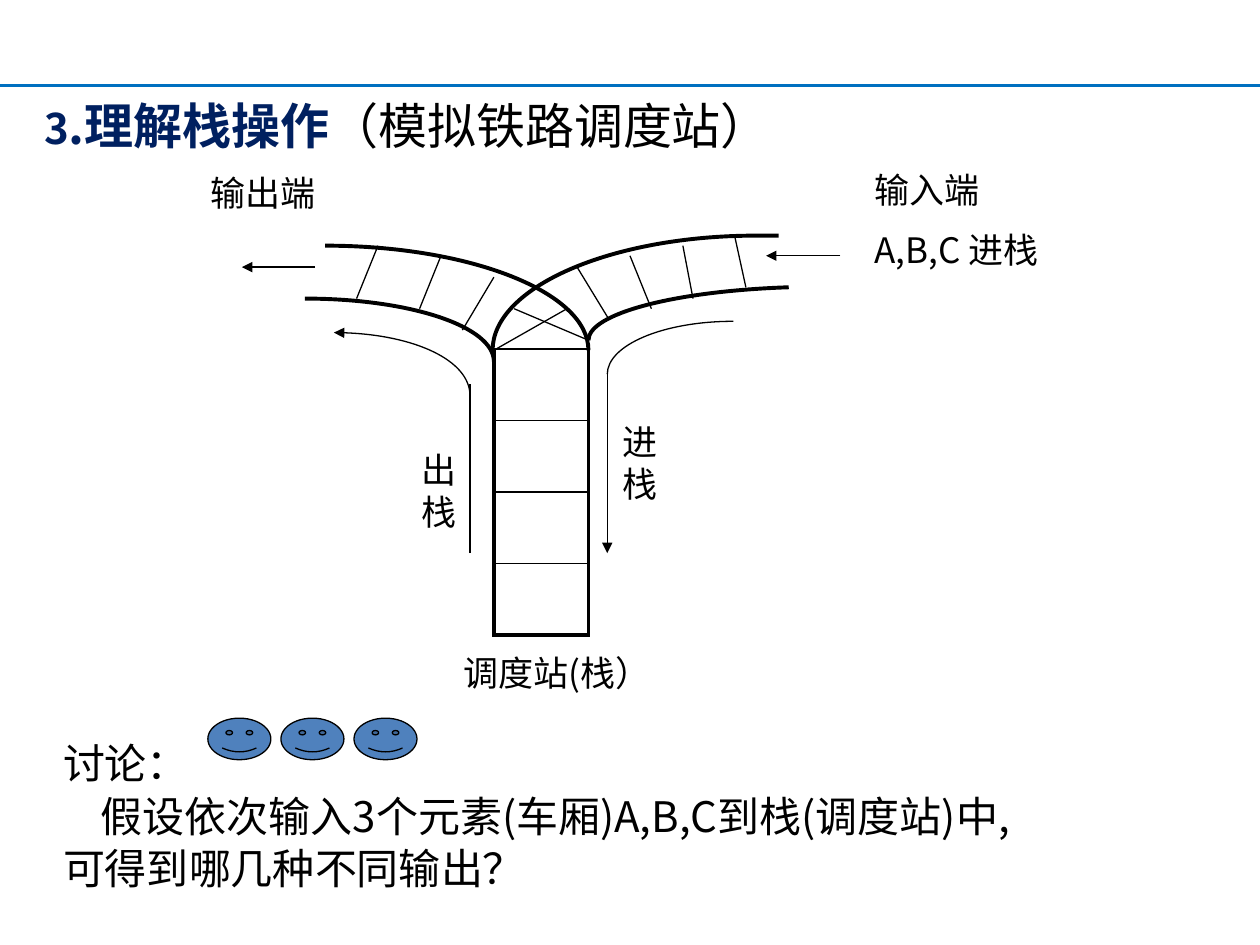
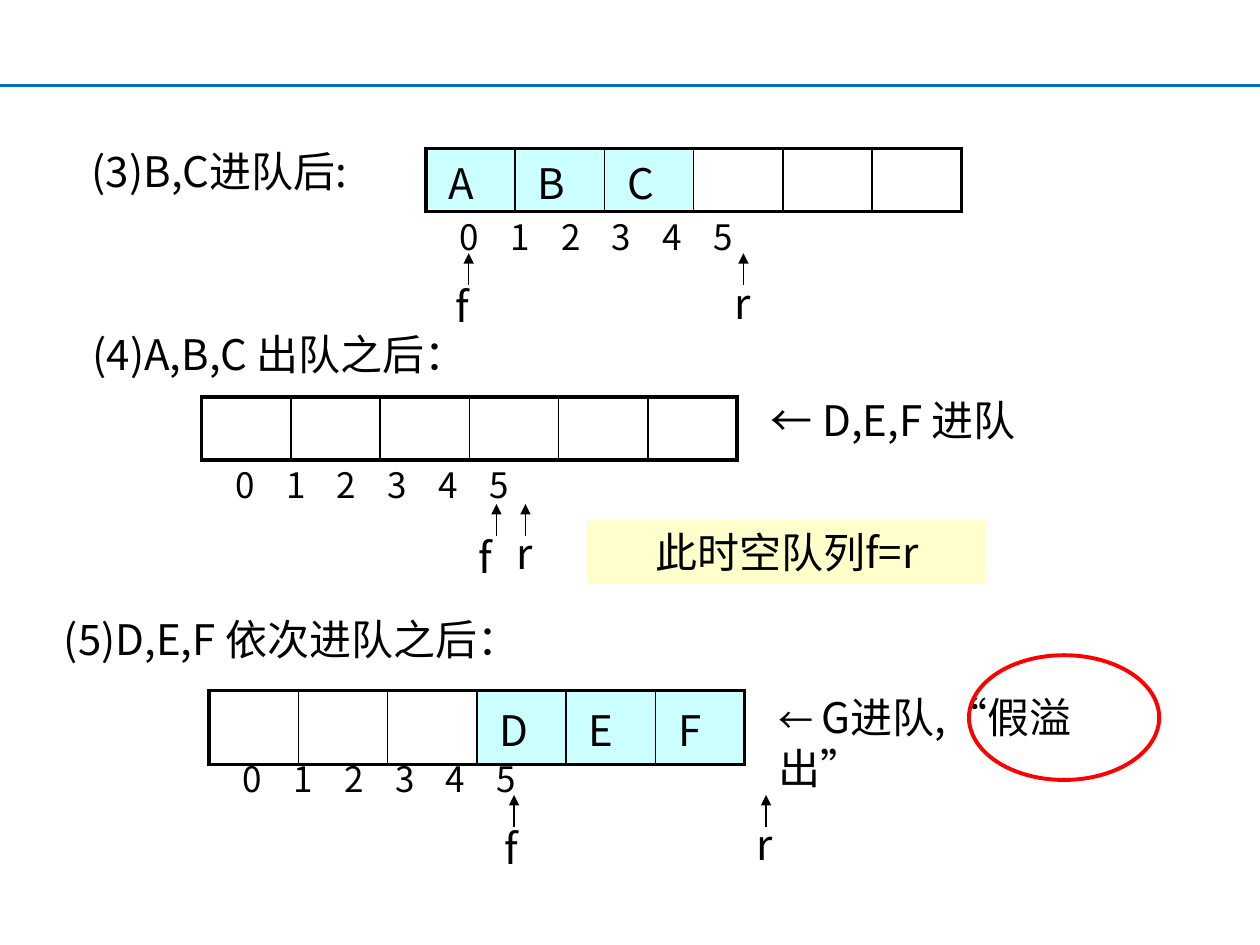
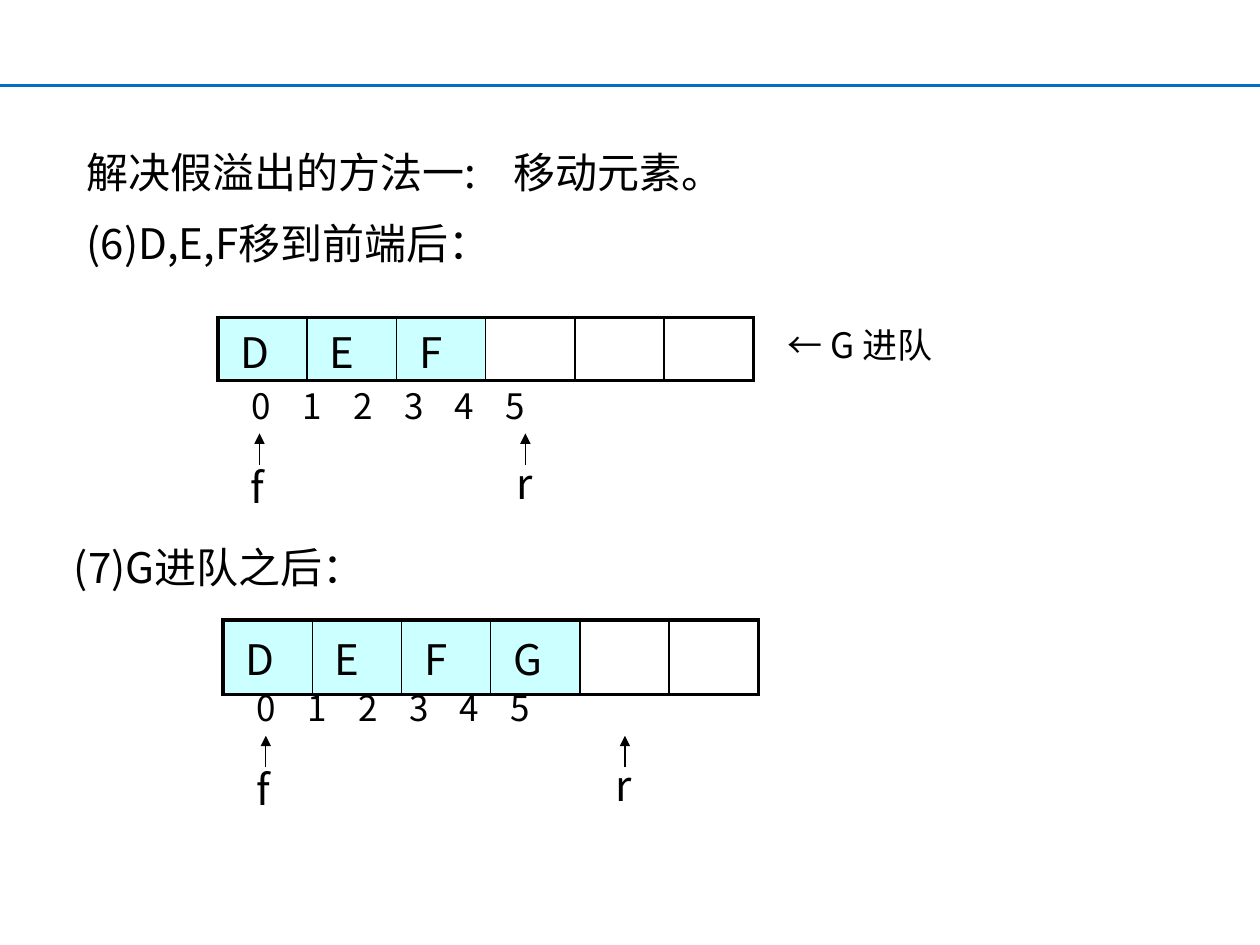
import lxml.etree
import pptx
import pptx.dml.color
import pptx.enum.shapes
import pptx.enum.text
import pptx.oxml.ns
import pptx.util

Inches = pptx.util.Inches
Pt = pptx.util.Pt
qn = pptx.oxml.ns.qn
Align = pptx.enum.text.PP_ALIGN
Anchor = pptx.enum.text.MSO_ANCHOR
Preset = pptx.enum.shapes.MSO_SHAPE

FONT = "Noto Sans CJK SC"
BLACK, NAVY, RULE, RED = "000000", "002060", "0070C0", "FF0000"
FILLED, NOTE, FACE = "CCFFFF", "FFFFCC", "4F81BD"
THIN, INNER, THICK = 0.75, 1, 2.25
CELL = 4.25 / 6
BOUNDS = ("left", "top", "width", "height")


def paint(target, color):
    """Colour a fill, or clear it when color is None."""
    if color is None:
        target.background()
    else:
        target.solid()
        target.fore_color.rgb = pptx.dml.color.RGBColor.from_string(color)


def span(text, size=24, color=BLACK, bold=False, font=FONT):
    return text, size, color, bold, font


def add_span(para, text, size, color, bold, font):
    run = para.add_run()
    run.text = text
    run.font.size = Pt(size)
    run.font.bold = bold
    paint(run.font.fill, color)
    run.font.name = font
    east_asian = lxml.etree.SubElement(run._r.get_or_add_rPr(), qn("a:ea"))
    east_asian.set("typeface", FONT)


def write(frame, paras, align=Align.LEFT, spacing=None, before=0, anchor=Anchor.TOP):
    """Fill a frame; paras is a list of paragraphs, each a list of spans."""
    frame.word_wrap = True
    frame.auto_size = pptx.enum.text.MSO_AUTO_SIZE.NONE
    frame.vertical_anchor = anchor
    for index, spans in enumerate(paras):
        para = frame.paragraphs[0] if index == 0 else frame.add_paragraph()
        para.alignment = align
        para.space_before = Pt(before if index else 0)
        if spacing:
            para.line_spacing = spacing
        for parts in spans:
            add_span(para, *parts)


def add_text(slide, box, paras, **style):
    text = slide.shapes.add_textbox(*map(Inches, box))
    write(text.text_frame, paras, **style)
    return text


def add_tabs(para, stops):
    tabs = lxml.etree.SubElement(para._p.get_or_add_pPr(), qn("a:tabLst"))
    for stop in stops:
        lxml.etree.SubElement(tabs, qn("a:tab"), pos=str(stop), algn="l")


def fill_placeholder(holder, box, paras, **style):
    for name, length in zip(BOUNDS, box):
        setattr(holder, name, Inches(length))
    write(holder.text_frame, paras, **style)


def add_arrowhead(shape, end):
    shape.line._get_or_add_ln().append(
        lxml.etree.Element(qn(f"a:{end}"), type="triangle"))


def add_line(slide, start, finish, color=BLACK, width=THIN, arrow=False):
    line = slide.shapes.add_connector(
        pptx.enum.shapes.MSO_CONNECTOR.STRAIGHT, *map(Inches, start + finish))
    paint(line.line.fill, color)
    line.line.width = Pt(width)
    if arrow:
        add_arrowhead(line, "tailEnd")
    lxml.etree.SubElement(line.element.spPr, qn("a:effectLst"))
    return line


def style_shape(shape, fill=None, line=BLACK, width=THIN):
    shape.shadow.inherit = False
    paint(shape.fill, fill)
    paint(shape.line.fill, line)
    if line:
        shape.line.width = Pt(width)


def add_preset(slide, kind, box, **style):
    shape = slide.shapes.add_shape(kind, *map(Inches, box))
    style_shape(shape, **style)
    return shape


def add_curve(slide, controls, width=THICK):
    """Draw cubic Bezier curves: a start, then three control points for each."""
    points = [(Inches(x), Inches(y)) for x, y in controls]
    builder = slide.shapes.build_freeform(*points[0])
    builder.add_line_segments(points[1:], close=False)
    curve = builder.convert_to_shape()
    segments = list(curve.element.iter(qn("a:lnTo")))
    for first in range(0, len(segments), 3):
        bezier = lxml.etree.Element(qn("a:cubicBezTo"))
        segments[first].addprevious(bezier)
        for segment in segments[first:first + 3]:
            bezier.append(segment[0])
            segment.getparent().remove(segment)
    style_shape(curve, width=width)
    return curve


def set_borders(cell, widths):
    """Set left, right, top and bottom border widths in points."""
    properties = cell._tc.get_or_add_tcPr()
    for side, width in zip("LRTB", widths):
        border = lxml.etree.SubElement(properties, qn(f"a:ln{side}"), w=str(Pt(width)))
        fill = lxml.etree.SubElement(border, qn("a:solidFill"))
        lxml.etree.SubElement(fill, qn("a:srgbClr"), val=BLACK)


def add_grid(slide, box, rows, columns, top_edge=THICK):
    """Add an unfilled table with a thick frame and thin inner lines."""
    table = slide.shapes.add_table(rows, columns, *map(Inches, box)).table
    table.first_row = table.horz_banding = False
    for column in table.columns:
        column.width = Inches(box[2] / columns)
    for r in range(rows):
        table.rows[r].height = Inches(box[3] / rows)
        for c in range(columns):
            cell = table.cell(r, c)
            set_borders(cell, (THICK if c == 0 else INNER,
                               THICK if c == columns - 1 else INNER,
                               top_edge if r == 0 else INNER,
                               THICK if r == rows - 1 else INNER))
            paint(cell.fill, None)
    return table


def add_pointer(slide, name, x, top, label_left, label_drop):
    add_line(slide, (x, top + 0.25), (x, top), arrow=True)
    add_text(slide, (x - label_left, top + label_drop, 0.37, 0.38),
             [[span(name)]], spacing=0.7)


def add_queue(slide, left, top, items, front, rear, height=0.5, pointer_drop=0.83,
              front_label=0.17):
    """Draw six cells, their indexes and the f and r pointers.

    items holds one character for each cell, front and rear are offsets from left.
    """
    table = add_grid(slide, (left, top, 6 * CELL, height), 1, 6)
    for index, item in enumerate(items):
        if item == " ":
            continue
        cell = table.cell(0, index)
        paint(cell.fill, FILLED)
        cell.vertical_anchor = Anchor.BOTTOM
        cell.margin_left = Inches(0.18)
        cell.margin_top = 0
        cell.margin_bottom = Inches(max(0, height - 0.54))
        add_span(cell.text_frame.paragraphs[0], *span(item))

    indexes = add_text(slide, (left + 0.17, top + 0.48, 3.81, 0.43),
                       [[span("\t".join("012345"), 20)]])
    add_tabs(indexes.text_frame.paragraphs[0], [Pt(29 * stop) for stop in range(1, 6)])

    add_pointer(slide, "f", left + front, top + pointer_drop, front_label, 0.28)
    add_pointer(slide, "r", left + rear, top + pointer_drop, 0.17, 0.25)


def add_rule_to_master(deck, slide):
    rule = add_line(slide, (0, 0.68), (10, 0.68), RULE, 1.5)
    deck.slide_master.element.cSld.spTree.append(rule.element)


def draw_tracks(slide, x, y):
    """Draw both rail branches and the station, from the station's top left."""
    add_grid(slide, (x, y, 0.75, 2.27), 4, 1, top_edge=INNER)
    rails = (
        ((-1.5, -0.4), (-0.67, -0.4), (0, -0.18), (0, 0.1)),
        ((-1.34, -0.82), (-0.19, -0.82), (0.75, -0.45), (0.75, 0.01)),
        ((2.26, -0.9), (2.2, -0.9), (2.14, -0.9), (2.08, -0.9),
         (0.93, -0.9), (-0.01, -0.49), (-0.01, 0.01)),
        ((2.34, -0.49), (1.43, -0.46), (0.75, -0.28), (0.75, -0.07)),
    )
    for rail in rails:
        add_curve(slide, [(x + dx, y + dy) for dx, dy in rail])
    sleepers = (
        ((0.16, -0.32), (0.75, -0.07)), ((0, 0.01), (0.58, -0.32)),
        ((0, -0.57), (-0.25, -0.15)), ((-0.42, -0.74), (-0.59, -0.32)),
        ((-0.92, -0.82), (-1.09, -0.4)), ((0.66, -0.65), (0.91, -0.24)),
        ((1.08, -0.74), (1.25, -0.32)), ((1.5, -0.82), (1.58, -0.4)),
        ((1.91, -0.9), (2, -0.49)),
    )
    for (x1, y1), (x2, y2) in sleepers:
        add_line(slide, (x + x1, y + y1), (x + x2, y + y2))


def draw_directions(slide, x, y):
    """Draw the arrows and labels around the station."""
    add_line(slide, (x + 2.75, y - 0.74), (x + 2.16, y - 0.74), arrow=True)
    add_line(slide, (x - 1.42, y - 0.65), (x - 2, y - 0.65), arrow=True)
    add_line(slide, (x + 0.9, y + 0.2), (x + 0.9, y + 1.62), arrow=True)
    add_line(slide, (x - 0.19, y + 1.62), (x - 0.19, y + 0.28))
    add_curve(slide, ((x + 1.9, y - 0.22), (x + 1.34, y - 0.22),
                      (x + 0.9, y - 0.03), (x + 0.9, y + 0.2)), THIN)
    pop = add_curve(slide, ((x - 1.27, y - 0.13), (x - 0.67, y - 0.13),
                            (x - 0.19, y + 0.09), (x - 0.19, y + 0.37)), THIN)
    add_arrowhead(pop, "headEnd")
    labels = (
        (2.92, -1.48, 1.75, 0.93, ("输入端", "A,B,C 进栈")),
        (0.92, 0.52, 0.5, 0.77, ("进栈",)),
        (-0.67, 0.74, 0.48, 0.77, ("出", "栈")),
        (-2.35, -1.46, 1.2, 0.43, ("输出端",)),
        (-0.34, 2.35, 1.83, 0.43, ("调度站(栈）",)),
    )
    for dx, dy, width, height, lines in labels:
        add_text(slide, (x + dx, y + dy, width, height),
                 [[span(line, 20)] for line in lines],
                 before=10 if dx > 2 else 0)


def draw_discussion(slide, body):
    lines = ("讨论：", "假设依次输入3个元素(车厢)A,B,C到栈(调度站)中,", "可得到哪几种不同输出？")
    fill_placeholder(body, (0.4, 5.79, 9.28, 1.4),
                     [[span(line)] for line in lines], spacing=Pt(30))
    for index, para in enumerate(body.text_frame.paragraphs):
        properties = para._p.get_or_add_pPr()
        properties.set("marL", "0")
        properties.set("indent", str(Inches(0.3) if index == 1 else 0))
        lxml.etree.SubElement(properties, qn("a:buNone"))
    for index in range(3):
        face = add_preset(slide, Preset.SMILEY_FACE,
                          (1.65 + 0.58 * index, 5.7, 0.5, 0.33), fill=FACE)
        face.adjustments[0] = 0.047


def build_stack_slide(deck):
    slide = deck.slides.add_slide(deck.slide_layouts[1])
    add_rule_to_master(deck, slide)
    fill_placeholder(slide.shapes.title, (0.25, 0.74, 9.42, 0.5),
                     [[span("3", 24, NAVY, True), span(".理解栈操作", 28, NAVY, True),
                       span("（模拟铁路调度站）", 28)]], anchor=Anchor.MIDDLE)
    draw_tracks(slide, 3.92, 2.77)
    draw_directions(slide, 3.92, 2.77)
    draw_discussion(slide, slide.placeholders[1])


def add_queue_slide(deck, title, box):
    slide = deck.slides.add_slide(deck.slide_layouts[5])
    fill_placeholder(slide.shapes.title, box, [[span(title)]], align=Align.CENTER,
                     spacing=0.7, anchor=Anchor.MIDDLE)
    return slide


def build_overflow_slide(deck):
    slide = add_queue_slide(deck, "(4)A,B,C 出队之后：", (0.35, 2.57, 3.74, 0.58))
    add_text(slide, (0.63, 1.18, 2.58, 0.42), [[span("(3)B,C进队后:")]], spacing=0.8)
    add_queue(slide, 3.38, 1.18, "ABC", 0.34, 2.52, front_label=0.2)

    add_queue(slide, 1.6, 3.15, "", 2.34, 2.57, pointer_drop=0.85, front_label=0.24)
    add_text(slide, (6.02, 3.08, 2.37, 0.5), [[span("← D,E,F 进队")]])
    note = add_preset(slide, Preset.RECTANGLE, (4.66, 4.13, 3.17, 0.5),
                      fill=NOTE, line=None)
    write(note.text_frame, [[span("此时空队列f=r")]], align=Align.CENTER,
          anchor=Anchor.MIDDLE)

    add_text(slide, (0.41, 4.82, 4.03, 0.5), [[span("(5)D,E,F 依次进队之后：")]])
    add_queue(slide, 1.66, 5.48, "   DEF", 2.42, 4.42, height=0.59)
    add_text(slide, (6.08, 5.44, 2.88, 0.9),
             [[span("← ", 20), span("G进队,"), span("“", font="Times New Roman"),
               span("假溢出”")]])
    add_preset(slide, Preset.OVAL, (7.69, 5.2, 1.51, 0.99), line=RED, width=THICK)


def build_moving_slide(deck):
    slide = add_queue_slide(deck, "(7)G进队之后：", (0.38, 4.3, 2.72, 0.5))
    method = add_text(slide, (0.59, 1.11, 5.67, 1.07),
                      [[span("解决假溢出的方法一:\t移动元素。")],
                       [span("(6)D,E,F移到前端后：")]], before=12)
    add_tabs(method.text_frame.paragraphs[0], [Inches(3.39)])
    add_queue(slide, 1.73, 2.52, "DEF", 0.33, 2.44, pointer_drop=0.92)
    add_text(slide, (6.15, 2.52, 1.6, 0.43), [[span("← G 进队", 20)]])
    add_queue(slide, 1.77, 4.92, "DEFG", 0.34, 3.19, height=0.59, pointer_drop=0.92)


def main():
    deck = pptx.Presentation()
    deck.slide_width = Inches(10)
    deck.slide_height = Inches(7.5)
    build_stack_slide(deck)
    build_overflow_slide(deck)
    build_moving_slide(deck)
    deck.save("out.pptx")


if __name__ == "__main__":
    main()
